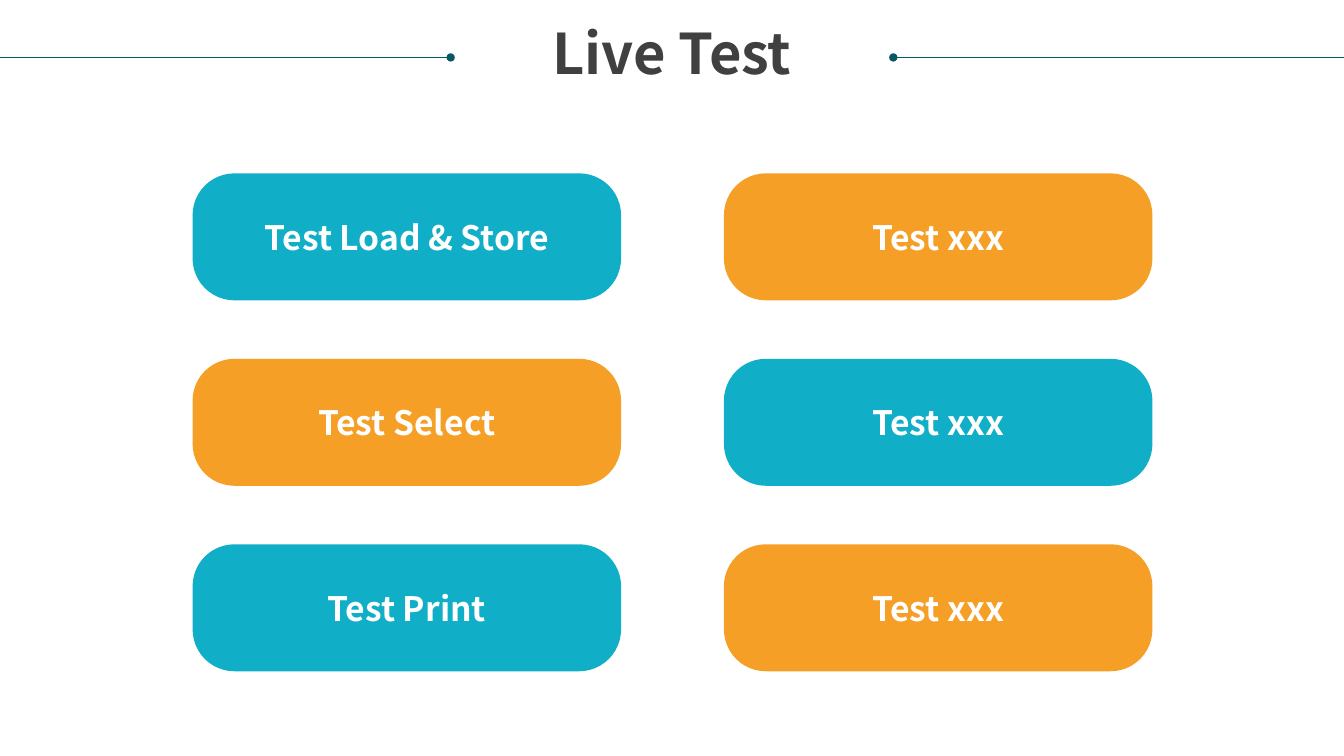
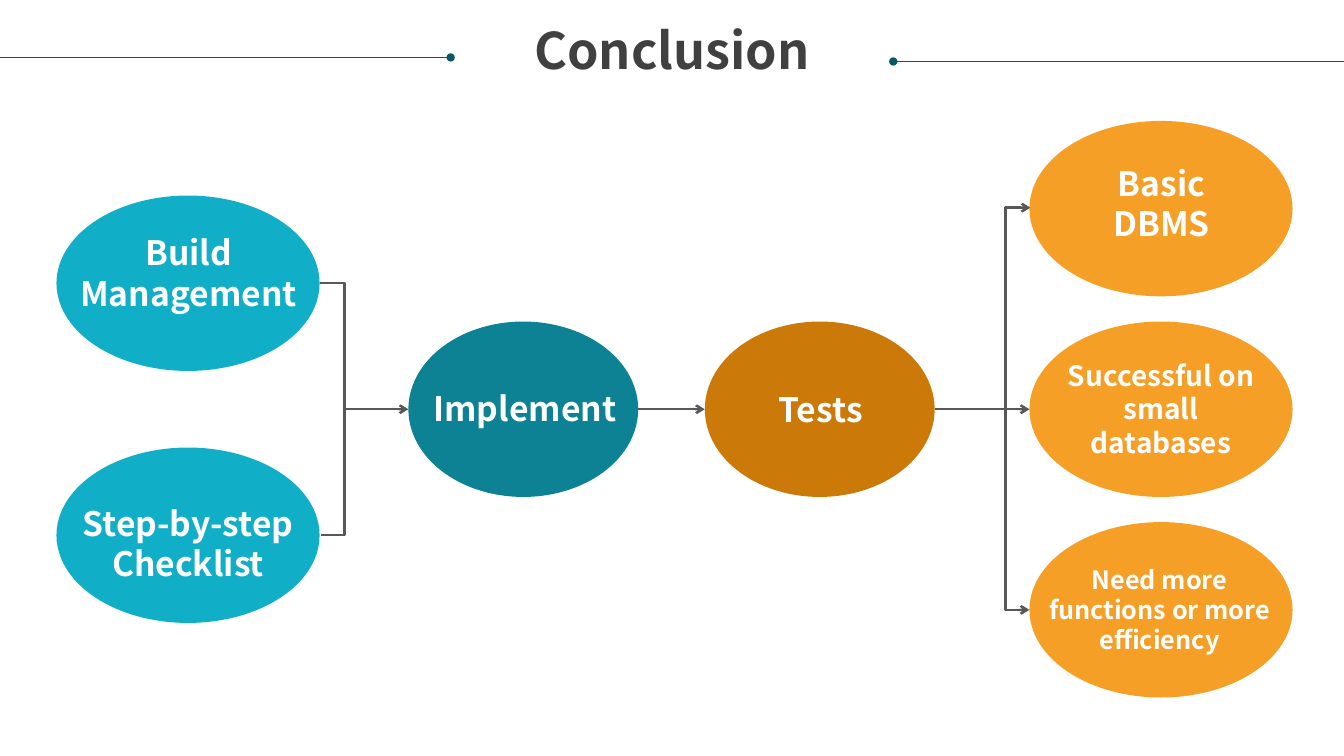
from lxml import etree
from pptx import Presentation
from pptx import util as u
from pptx.dml.color import RGBColor
from pptx.enum import shapes, text
from pptx.oxml.ns import qn

FONT = "Noto Sans CJK SC"
TEAL, DARK_TEAL, RULE_TEAL = "11AEC7", "0D8295", "085764"
ORANGE, DARK_ORANGE = "F59F26", "CB7A09"
WHITE, TITLE_GREY, LINE_GREY = "FFFFFF", "404040", "585858"
ELBOW = shapes.MSO_CONNECTOR.ELBOW
STRAIGHT = shapes.MSO_CONNECTOR.STRAIGHT


def set_text(shape, words, size, color=WHITE, margin=0, anchor=text.MSO_ANCHOR.MIDDLE):
    """Write one centred bold paragraph into the shape and return it."""
    frame = shape.text_frame
    frame.text = words
    frame.word_wrap = True
    frame.auto_size = text.MSO_AUTO_SIZE.NONE
    frame.vertical_anchor = anchor
    frame.margin_left = frame.margin_right = u.Inches(margin)
    frame.margin_top = frame.margin_bottom = u.Inches(margin / 2)
    paragraph = frame.paragraphs[0]
    paragraph.alignment = text.PP_ALIGN.CENTER
    paragraph.font.name = FONT
    paragraph.font.size = u.Pt(size)
    paragraph.font.bold = True
    paragraph.font.color.rgb = RGBColor.from_string(color)
    return paragraph


def add_line(slide, start, end, color, width, head=None, tail=None, kind=STRAIGHT, bend=None):
    """Add a connector; bend is the elbow's distance as a multiple of its width."""
    line = slide.shapes.add_connector(kind, *map(u.Inches, start + end))
    line.line.color.rgb = RGBColor.from_string(color)
    line.line.width = u.Pt(width)
    outline = line.line._get_or_add_ln()
    for tag, ending in (("a:headEnd", head), ("a:tailEnd", tail)):
        if ending:
            etree.SubElement(outline, qn(tag), type=ending)
    properties = line._element.spPr
    etree.SubElement(properties, qn("a:effectLst"))
    if bend:
        guides = properties.find(qn("a:prstGeom")).get_or_add_avLst()
        etree.SubElement(guides, qn("a:gd"), name="adj1", fmla=f"val {bend * 100000}")


presentation = Presentation()
presentation.slide_width = u.Inches(13.33)
presentation.slide_height = u.Inches(7.5)

# Shared header: title between two dotted rules
slides = []
for title, size, height, right_rule in (("Live Test", 40, 0.61, 0.57), ("Conclusion", 36, 0.55, 0.61)):
    slide = presentation.slides.add_slide(presentation.slide_layouts[5])
    slides.append(slide)
    heading = slide.shapes.title
    heading.left, heading.top = u.Inches(0.25), u.Inches(0.26)
    heading.width, heading.height = u.Inches(12.83), u.Inches(height)
    paragraph = set_text(heading, title, size, TITLE_GREY, anchor=text.MSO_ANCHOR.TOP)
    paragraph.line_spacing = 0.9
    add_line(slide, (8.86, right_rule), (13.33, right_rule), RULE_TEAL, 0.5, head="oval")
    add_line(slide, (0, 0.57), (4.47, 0.57), RULE_TEAL, 0.5, tail="oval")
test_slide, conclusion_slide = slides

blocks = []

# Live Test: two columns of buttons in alternating colours
columns = (("Test Load & Store", "Test Select", "Test Print"), ("Test xxx",) * 3)
for column, names in enumerate(columns):
    for row, name in enumerate(names):
        button = test_slide.shapes.add_shape(
            shapes.MSO_SHAPE.ROUNDED_RECTANGLE,
            u.Inches(1.91 + 5.27 * column), u.Inches(1.72 + 1.84 * row),
            u.Inches(4.25), u.Inches(1.26))
        button.adjustments[0] = 0.33
        set_text(button, name, 24, margin=0.1)
        blocks.append((button, (TEAL, ORANGE)[(row + column) % 2]))

# Conclusion: flow of ellipses, left to right
for left, top, width, color in (
        (0.56, 1.94, 2.61, TEAL),
        (0.56, 4.44, 2.61, TEAL),
        (4.05, 3.19, 2.28, DARK_TEAL),
        (6.99, 3.19, 2.28, DARK_ORANGE),
        *((10.21, 3.19 + 1.99 * step, 2.61, ORANGE) for step in (-1, 0, 1))):
    ellipse = conclusion_slide.shapes.add_shape(
        shapes.MSO_SHAPE.OVAL, u.Inches(left), u.Inches(top), u.Inches(width), u.Inches(1.74))
    blocks.append((ellipse, color))

for block, color in blocks:
    block.shadow.inherit = False
    block.fill.solid()
    block.fill.fore_color.rgb = RGBColor.from_string(color)
    block.line.fill.background()

add_line(conclusion_slide, (3.17, 2.81), (3.18, 5.31), LINE_GREY, 1.75, kind=ELBOW, bend=25)
for start, end in ((3.42, 4.05), (6.33, 6.99), (9.27, 10.21)):
    add_line(conclusion_slide, (start, 4.06), (end, 4.06), LINE_GREY, 1.75, tail="arrow")
add_line(conclusion_slide, (10.22, 2.06), (10.21, 6.05), LINE_GREY, 1.75,
         head="arrow", tail="arrow", kind=ELBOW, bend=25)

for words, size, left, top, width, height in (
        ("Build Management", 24, 0.49, 2.3, 2.76, 0.81),
        ("Step-by-step Checklist", 24, 0.44, 4.98, 2.85, 0.81),
        ("Implement", 24, 4.17, 3.85, 2.07, 0.4),
        ("Tests", 24, 7.39, 3.86, 1.5, 0.4),
        ("Basic DBMS", 24, 10.77, 1.61, 1.5, 0.81),
        ("Successful on small databases", 20, 10.58, 3.55, 1.87, 1.01),
        ("Need more functions or more efficiency", 18, 10.34, 5.59, 2.32, 0.91)):
    label = conclusion_slide.shapes.add_textbox(*map(u.Inches, (left, top, width, height)))
    set_text(label, words, size)

presentation.save("out.pptx")
